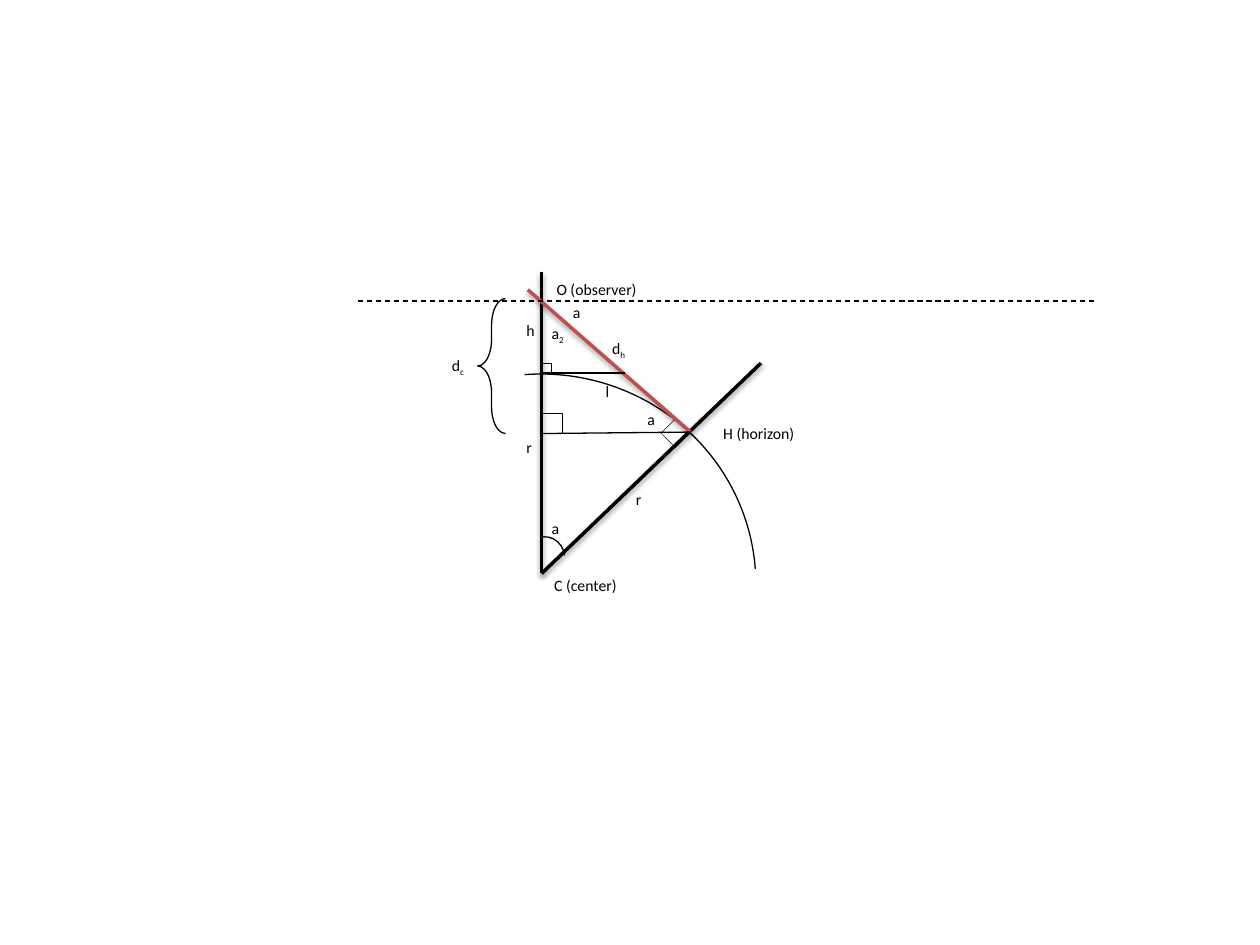
"""Draw the geometry of an observer's distance to the horizon."""
from lxml import etree
from pptx import Presentation
from pptx.dml.color import RGBColor
from pptx.enum.dml import MSO_LINE
from pptx.enum.shapes import MSO_CONNECTOR, MSO_SHAPE as Preset
from pptx.enum.text import MSO_AUTO_SIZE
from pptx.oxml.ns import qn
from pptx.util import Cm, Pt

COLOURS = {"ink": "000000", "sight": "C0504D"}

deck = Presentation()
deck.slide_width, deck.slide_height = Cm(25.4), Cm(19.05)
page = deck.slides.add_slide(deck.slide_layouts[6])


def add_outline(preset, left, top, width, height, weight, turn=0):
    shape = page.shapes.add_shape(preset, Cm(left), Cm(top), Cm(width), Cm(height))
    shape.rotation = turn
    shape.shadow.inherit = False
    shape.fill.background()
    shape.line.color.rgb = RGBColor.from_string(COLOURS["ink"])
    shape.line.width = Pt(weight)
    return shape


def add_line(start, end, weight=0.75, colour="ink", shadow=False):
    line = page.shapes.add_connector(
        MSO_CONNECTOR.STRAIGHT, Cm(start[0]), Cm(start[1]), Cm(end[0]), Cm(end[1]))
    line.line.color.rgb = RGBColor.from_string(COLOURS[colour])
    line.line.width = Pt(weight)
    effects = etree.SubElement(line._element.spPr, qn("a:effectLst"))
    if shadow:
        outer = etree.SubElement(
            effects, qn("a:outerShdw"), blurRad=str(Pt(3.1)), dist=str(Pt(1.6)),
            dir="5400000", rotWithShape="0")
        shade = etree.SubElement(outer, qn("a:srgbClr"), val=COLOURS["ink"])
        etree.SubElement(shade, qn("a:alpha"), val="38000")
    return line


center = (10.92, 11.56)
horizon = (13.92, 8.71)
axis = center[0]
eye_level = 6.07
ground = 7.52

add_outline(Preset.ARC, 6.55, 7.54, 8.69, 8.51, 0.75, 355.7)
for ray_end in [(axis, 5.49), (15.34, 7.32)]:
    add_line(center, ray_end, 2, shadow=True)
add_outline(Preset.RECTANGLE, 13.41, 8.53, 0.41, 0.41, 0.25, 45)
add_line(horizon, (10.64, 5.84), 2, "sight", shadow=True)

add_line(horizon, (10.9, 8.74))
add_line((axis, ground), (12.6, ground))
for corner_top, side in [(8.33, 0.41), (7.32, 0.2)]:
    add_outline(Preset.RECTANGLE, axis, corner_top, side, side, 0.25)
brace = add_outline(Preset.LEFT_BRACE, 9.63, 6.02, 0.56, 2.72, 0.75)
brace.adjustments[0] = 0.96
level = add_line((7.21, eye_level), (22.07, eye_level))
level.line.dash_style = MSO_LINE.DASH
add_outline(Preset.ARC, 10.57, 10.82, 0.81, 0.81, 0.75, 356)

labels = [
    ("O (observer)", "", 10.97, 5.51, 2.16),
    ("H (horizon)", "", 14.33, 8.41, 2.01),
    ("C (center)", "", 10.92, 11.48, 1.8),
    ("r", "", 10.36, 8.71, 0.64),
    ("r", "", 12.57, 9.75, 0.64),
    ("h", "", 10.36, 6.35, 0.69),
    ("d", "h", 12.09, 6.71, 0.79),
    ("a", "", 10.87, 10.34, 0.66),
    ("l", "", 11.96, 7.57, 0.58),
    ("a", "", 11.3, 5.97, 0.66),
    ("a", "", 12.8, 8.13, 0.66),
    ("a", "2", 10.87, 6.4, 0.76),
    ("d", "c", 8.86, 7.04, 0.76),
]
for name, subscript, left, top, width in labels:
    box = page.shapes.add_textbox(Cm(left), Cm(top), Cm(width), Cm(0.64))
    box.text_frame.word_wrap = name == "H (horizon)"
    box.text_frame.auto_size = MSO_AUTO_SIZE.SHAPE_TO_FIT_TEXT
    para = box.text_frame.paragraphs[0]
    for text, baseline in [(name, "0"), (subscript, "-25000")]:
        if text:
            span = para.add_run()
            span.text = text
            span.font.name = "Calibri"
            span.font.size = Pt(9)
            span.font.color.rgb = RGBColor.from_string(COLOURS["ink"])
            span.font._element.set("baseline", baseline)

deck.save("out.pptx")
